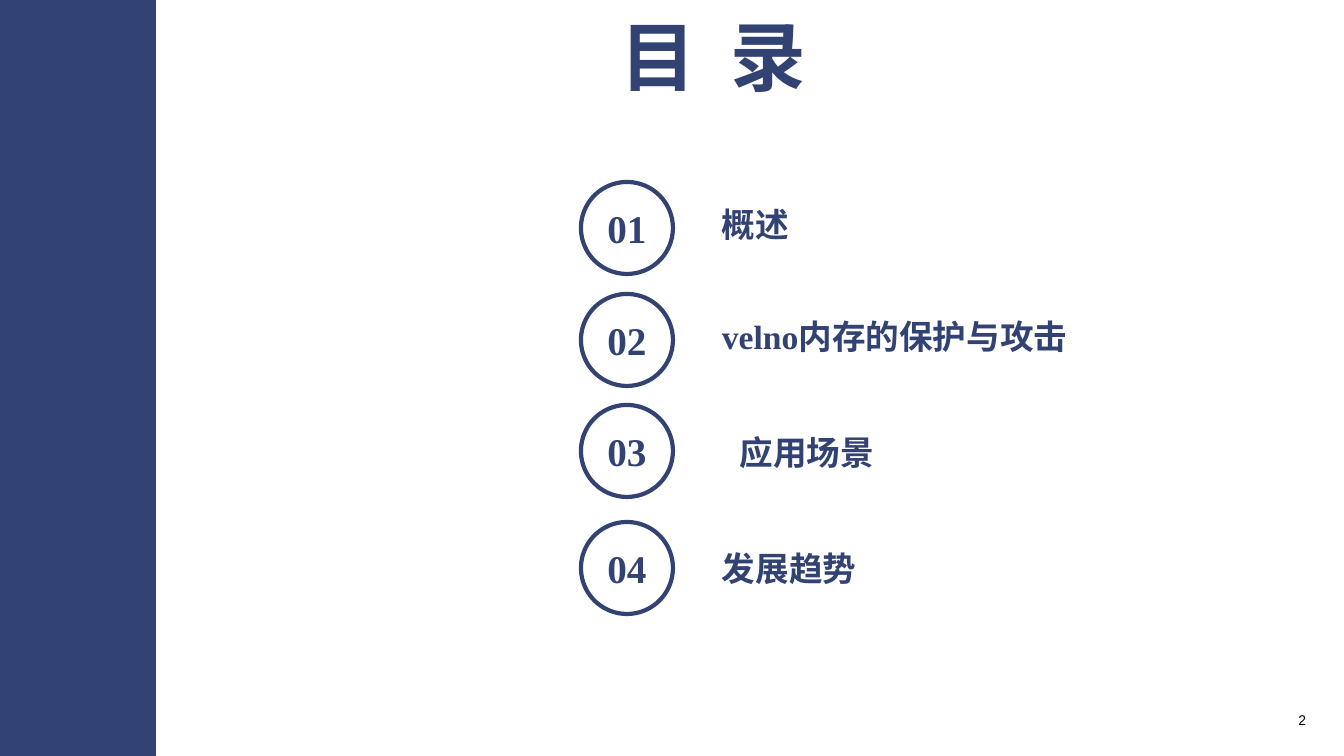
"""Build the contents slide: a side band, a title and four numbered sections."""
from pptx import Presentation
from pptx.dml.color import RGBColor
from pptx.enum.shapes import MSO_SHAPE
from pptx.enum.text import MSO_ANCHOR, MSO_AUTO_SIZE, PP_ALIGN
from pptx.util import Pt

LEFT, CENTER, RIGHT = PP_ALIGN.LEFT, PP_ALIGN.CENTER, PP_ALIGN.RIGHT
TOP, MIDDLE = MSO_ANCHOR.TOP, MSO_ANCHOR.MIDDLE
RECTANGLE, OVAL = MSO_SHAPE.RECTANGLE, MSO_SHAPE.OVAL
NO_AUTOFIT = MSO_AUTO_SIZE.NONE

COLORS = {"navy": "324273", "white": "FFFFFF", "black": "000000"}
SERIF, SANS = "Times New Roman", "Arial"

TITLE = "目  录"
PAGE_NUMBER = "2"
# circle top, label top, label width, alignment
SECTIONS = [
    ("概述", 182, 199, 216, LEFT),
    ("velno内存的保护与攻击", 294, 311, 370, LEFT),
    ("应用场景", 405, 427, 190, CENTER),
    ("发展趋势", 522, 543, 217, LEFT),
]

PAGE_WIDTH, PAGE_HEIGHT = 1344, 756
BAND_WIDTH = 155
CIRCLE_LEFT, CIRCLE_SIZE = 581, 92
LABEL_LEFT, LABEL_HEIGHT = 712, 92
EMU_PER_INCH, PX_PER_INCH = 914400, 100.8


def px(length):
    return round(length * EMU_PER_INCH / PX_PER_INCH)


def color(name):
    return RGBColor.from_string(COLORS[name])


def write(shape, text, size, font=SERIF, ink="navy", bold=True,
          align=LEFT, anchor=TOP, wrap=True):
    frame = shape.text_frame
    frame.word_wrap = wrap
    frame.auto_size = NO_AUTOFIT
    frame.vertical_anchor = anchor
    para = frame.paragraphs[0]
    para.alignment = align
    span = para.add_run()
    span.text = text
    span.font.size = Pt(size)
    span.font.name = font
    span.font.bold = bold
    span.font.color.rgb = color(ink)


def add_figure(page, kind, left, top, width, height, fill, line_width):
    shape = page.shapes.add_shape(kind, px(left), px(top), px(width), px(height))
    shape.shadow.inherit = False
    shape.fill.solid()
    shape.fill.fore_color.rgb = color(fill)
    shape.line.color.rgb = color("navy")
    shape.line.width = Pt(line_width)
    return shape


def add_text(page, left, top, width, height, text, **style):
    box = page.shapes.add_textbox(px(left), px(top), px(width), px(height))
    write(box, text, **style)


def main():
    deck = Presentation()
    deck.slide_width, deck.slide_height = px(PAGE_WIDTH), px(PAGE_HEIGHT)
    page = deck.slides.add_slide(deck.slide_layouts[5])

    add_figure(page, RECTANGLE, 0, 0, BAND_WIDTH, PAGE_HEIGHT, "navy", 1)

    title = page.shapes.title
    title.left, title.top, title.width, title.height = map(px, (481, 5, 464, 98))
    write(title, TITLE, size=54, align=CENTER)

    for number, (label, circle_top, label_top, width, align) in enumerate(SECTIONS, 1):
        circle = add_figure(page, OVAL, CIRCLE_LEFT, circle_top,
                            CIRCLE_SIZE, CIRCLE_SIZE, "white", 3)
        write(circle, f"{number:02}", size=28, align=CENTER, anchor=MIDDLE, wrap=False)
        add_text(page, LABEL_LEFT, label_top, width, LABEL_HEIGHT, label,
                 size=24, align=align)

    add_text(page, 1260, 700, 56, 40, PAGE_NUMBER, size=10, font=SANS,
             ink="black", bold=False, align=RIGHT, anchor=MIDDLE)
    deck.save("out.pptx")


if __name__ == "__main__":
    main()
